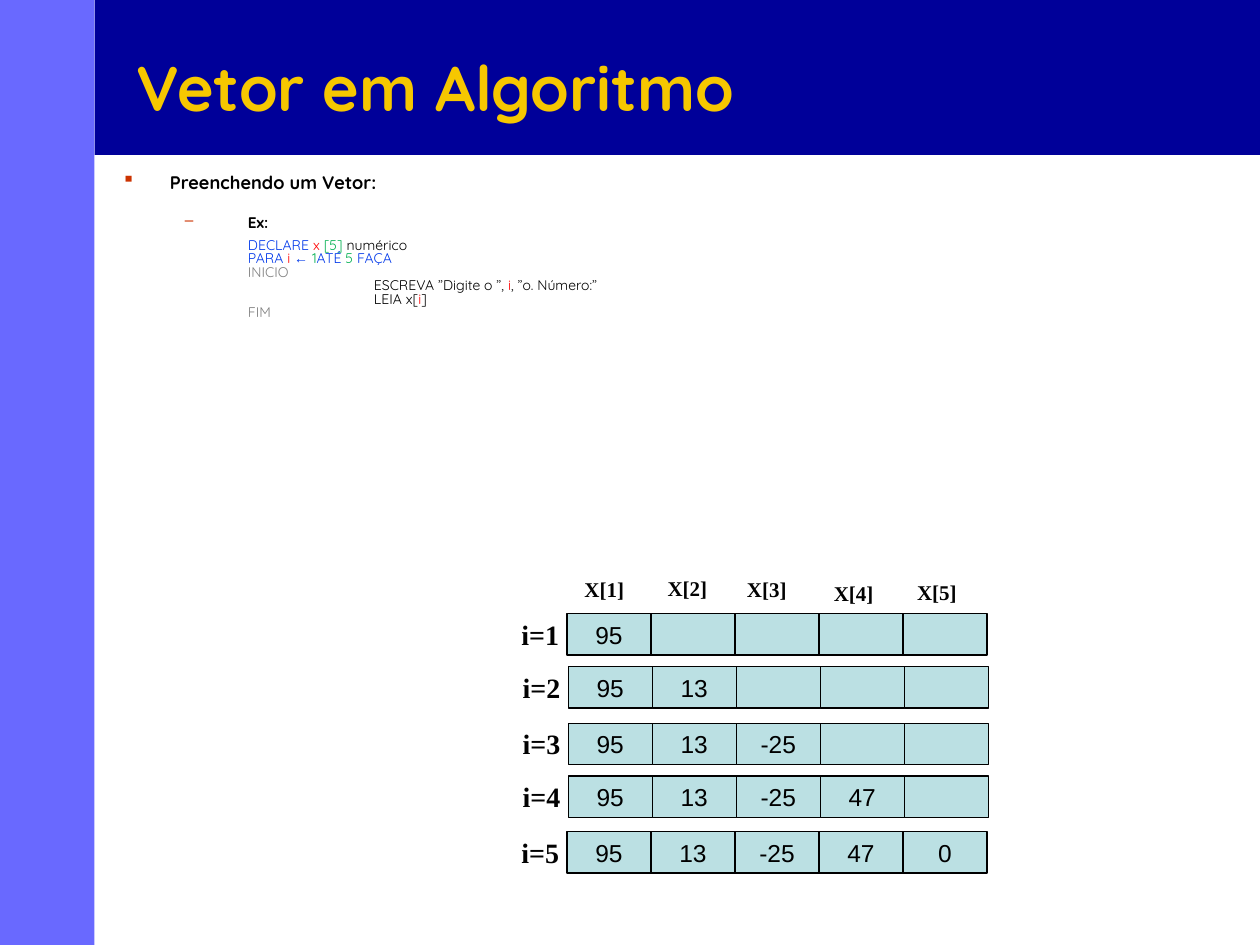
import pptx
import pptx.dml.color
import pptx.enum.shapes
import pptx.enum.text
import pptx.oxml
import pptx.oxml.ns
import pptx.util

Inches = pptx.util.Inches
Pt = pptx.util.Pt
RGBColor = pptx.dml.color.RGBColor
Align = pptx.enum.text.PP_ALIGN
Anchor = pptx.enum.text.MSO_ANCHOR
AutoSize = pptx.enum.text.MSO_AUTO_SIZE

NAVY = RGBColor(0x00, 0x00, 0x99)
PERIWINKLE = RGBColor(0x69, 0x69, 0xFF)
GOLD = RGBColor(0xF6, 0xC7, 0x00)
BLACK = RGBColor(0x00, 0x00, 0x00)
INK = RGBColor(0x02, 0x02, 0x02)
BLUE = RGBColor(0x00, 0x38, 0xEA)
RED = RGBColor(0xFF, 0x00, 0x00)
GREEN = RGBColor(0x00, 0xB0, 0x50)
GRAY = RGBColor(0x7F, 0x7F, 0x7F)
RUST = RGBColor(0xCC, 0x33, 0x00)
CELL_FILL = RGBColor(0xBB, 0xE0, 0xE3)

VALUES = ["95", "13", "-25", "47", "0"]
CELL_WIDTH = 2 / 3
ROWS = [(4.5, 4.87), (4.51, 5.29), (4.51, 5.74), (4.51, 6.16), (4.5, 6.6)]
HEADINGS = [(4.54, 4.53), (5.2, 4.52), (5.83, 4.53), (6.52, 4.56), (7.18, 4.55)]

CODE = [
    (1, [("DECLARE ", BLUE), ("x ", RED), ("[5] ", GREEN), ("numérico", BLACK)]),
    (1, [("PARA ", BLUE), ("i ", RED), ("← ", BLUE), ("1", GREEN),
         ("ATÉ ", BLUE), ("5 ", GREEN), ("FAÇA", BLUE)]),
    (1, [("INICIO", GRAY)]),
    (2, [("ESCREVA ”Digite o ”, ", BLACK), ("i", RED), (", ”o. Número:”", BLACK)]),
    (2, [("LEIA x[", BLACK), ("i", RED), ("]", BLACK)]),
    (1, [("FIM", GRAY)]),
]


def write_span(para, text, size=8, font="Quicksand", color=BLACK, bold=False):
    """Add a formatted run of text to a paragraph."""
    span = para.add_run()
    span.text = text
    span.font.size = Pt(size)
    span.font.name = font
    span.font.color.rgb = color
    span.font.bold = bold


class SlideBuilder:
    """Hold the style and the current slide and add each kind of element."""

    def __init__(self, deck):
        self.slide = deck.slides.add_slide(deck.slide_layouts[5])
        self.shapes = self.slide.shapes

    def rectangle(self, left, top, width, height, fill):
        box = self.shapes.add_shape(
            pptx.enum.shapes.MSO_SHAPE.RECTANGLE,
            Inches(left), Inches(top), Inches(width), Inches(height))
        box.shadow.inherit = False
        box.fill.solid()
        box.fill.fore_color.rgb = fill
        box.line.fill.background()
        return box

    def title(self, text):
        title = self.shapes.title
        title.left, title.top = Inches(0.98), Inches(0.3)
        title.width, title.height = Inches(8.52), Inches(0.77)
        title.element.getparent().append(title.element)
        frame = title.text_frame
        frame.auto_size = AutoSize.NONE
        frame.vertical_anchor = Anchor.MIDDLE
        para = frame.paragraphs[0]
        para.alignment = Align.LEFT
        write_span(para, text, size=36, color=GOLD, bold=True)

    def text_box(self, left, top, width, height):
        box = self.shapes.add_textbox(
            Inches(left), Inches(top), Inches(width), Inches(height))
        box.text_frame.word_wrap = True
        return box.text_frame

    def label(self, text, left, top, width, height, size):
        frame = self.text_box(left, top, width, height)
        frame.auto_size = AutoSize.SHAPE_TO_FIT_TEXT
        write_span(frame.paragraphs[0], text, size=size,
                   font="Times New Roman", color=INK, bold=True)

    def cell(self, text, left, top):
        box = self.rectangle(left, top, CELL_WIDTH, 0.33, CELL_FILL)
        box.line.color.rgb = BLACK
        box.line.width = Pt(0.75)
        if text:
            frame = box.text_frame
            frame.word_wrap = False
            frame.vertical_anchor = Anchor.MIDDLE
            para = frame.paragraphs[0]
            para.alignment = Align.CENTER
            write_span(para, text, size=14, font="Arial")

    def paragraph(self, para, margin, hanging=0, bullet=None, before=0, level=0):
        properties = para._p.get_or_add_pPr()
        properties.set("marL", str(Inches(margin)))
        properties.set("indent", str(-Inches(hanging)))
        namespace = pptx.oxml.ns.nsdecls("a")
        if bullet:
            properties.append(pptx.oxml.parse_xml(
                f'<a:buClr {namespace}><a:srgbClr val="{RUST}"/></a:buClr>'))
            properties.append(pptx.oxml.parse_xml(
                f'<a:buChar {namespace} char="{bullet}"/>'))
        else:
            properties.append(pptx.oxml.parse_xml(f"<a:buNone {namespace}/>"))
        para.level = level
        para.alignment = Align.JUSTIFY
        para.line_spacing = 0.8
        para.space_before = Pt(before)
        return para

    def algorithm(self):
        frame = self.text_box(0.87, 1.34, 9.17, 1.62)
        para = self.paragraph(frame.paragraphs[0], 0.38, 0.38, "▪")
        write_span(para, "Preenchendo um Vetor:", size=10.4, bold=True)
        para = self.paragraph(frame.add_paragraph(), 1, 0.5, "–", 13.8, 1)
        write_span(para, "Ex:", size=8.8, bold=True)
        for number, (margin, spans) in enumerate(CODE):
            before = 4.8 if number == 0 else 0
            para = self.paragraph(frame.add_paragraph(), margin, before=before, level=1)
            for text, color in spans:
                font = "Arial" if "←" in text else "Quicksand"
                write_span(para, text, font=font, color=color)

    def vector_row(self, step, left, top):
        for column, value in enumerate(VALUES):
            text = value if column < step else ""
            self.cell(text, left + column * CELL_WIDTH, top)
        self.label(f"i={step}", left - 0.46, top - 0.02, 0.57, 0.37, 16)


def main():
    deck = pptx.Presentation()
    deck.slide_width, deck.slide_height = Inches(10), Inches(7.5)
    builder = SlideBuilder(deck)
    builder.rectangle(0.75, 0, 9.25, 1.23, NAVY)
    builder.rectangle(0, 0, 0.75, 7.5, PERIWINKLE)
    builder.title("Vetor em Algoritmo")
    builder.algorithm()
    for step, (left, top) in enumerate(ROWS, 1):
        builder.vector_row(step, left, top)
    for index, (left, top) in enumerate(HEADINGS, 1):
        builder.label(f"X[{index}]", left, top, 0.53, 0.3, 12)
    deck.save("out.pptx")


if __name__ == "__main__":
    main()
